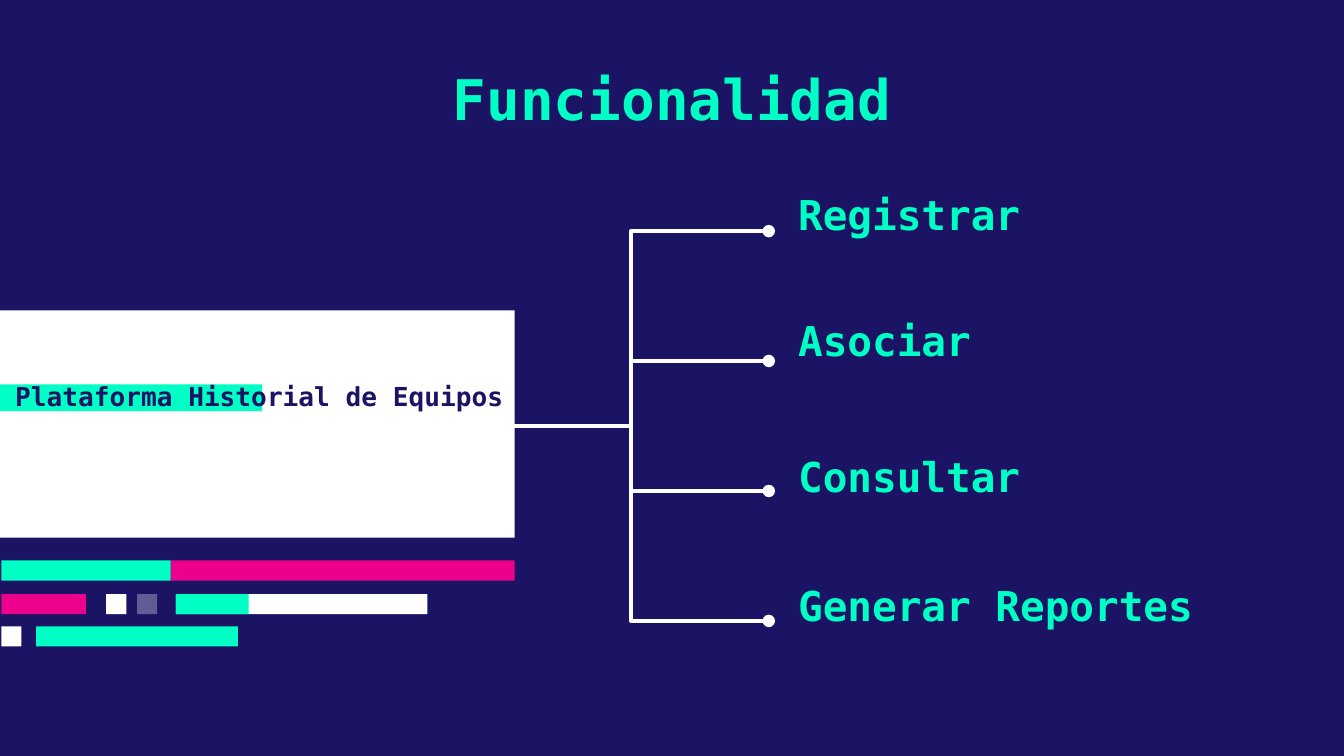
from typing import NamedTuple

from lxml import etree
from pptx import Presentation
from pptx import util as u
from pptx.dml.color import RGBColor
from pptx.enum import shapes, text
from pptx.oxml import ns
from pptx.slide import Slide

NAVY, MINT, PINK, WHITE = "1B1464", "00FFC5", "EC008C", "FFFFFF"
FONT = "DejaVu Sans Mono"
SLIDE_WIDTH = 10
SLIDE_HEIGHT = SLIDE_WIDTH * 9 / 16
BAR_HEIGHT = 0.15
BAR_ROWS = (4.17, 4.42, 4.66)
TRUNK_X, TRUNK_Y, BRANCH_X = 3.67, 3.17, 5.72
FIRST_BRANCH_Y, LAST_BRANCH_Y = 1.72, 4.62


class Bar(NamedTuple):
    row: int
    left: float
    width: float
    color: str
    opacity: int = 100


class Feature(NamedTuple):
    label: str
    top: float
    width: float = 2.95
    height: float = 0.3


BARS = (
    Bar(0, 1.27, 2.56, PINK),
    Bar(0, 0.01, 1.26, MINT),
    Bar(1, 1.31, 1.87, WHITE),
    Bar(1, 1.31, 0.54, MINT),
    Bar(1, 0.01, 0.63, PINK),
    Bar(1, 1.02, 0.15, WHITE, 31),
    Bar(1, 0.79, 0.15, WHITE),
    Bar(2, 0.01, 0.15, WHITE),
    Bar(2, 0.27, 1.5, MINT),
)
FEATURES = (
    Feature("Registrar", 1.44),
    Feature("Asociar", 2.38),
    Feature("Consultar", 3.39),
    Feature("Generar Reportes", 4.32, 3.69, 0.36),
)


def set_color(fill, color: str, opacity: int = 100) -> None:
    fill.solid()
    fill.fore_color.rgb = RGBColor.from_string(color)
    if opacity < 100:
        color_element = fill._xPr.find(f".//{ns.qn('a:srgbClr')}")
        etree.SubElement(color_element, ns.qn("a:alpha"), val=str(opacity * 1000))


def add_block(slide: Slide, left: float, top: float, width: float, height: float,
              color: str, opacity: int = 100) -> None:
    shape = slide.shapes.add_shape(
        shapes.MSO_SHAPE.RECTANGLE,
        u.Inches(left), u.Inches(top), u.Inches(width), u.Inches(height))
    shape.shadow.inherit = False
    shape.line.fill.background()
    set_color(shape.fill, color, opacity)


def add_text(slide: Slide, content: str, left: float, top: float, width: float, height: float, *,
             size: float, color: str = MINT, align=text.PP_ALIGN.LEFT,
             anchor=text.MSO_ANCHOR.MIDDLE, inset_y: float = 0) -> None:
    box = slide.shapes.add_textbox(
        u.Inches(left), u.Inches(top), u.Inches(width), u.Inches(height))
    frame = box.text_frame
    frame.word_wrap = True
    frame.vertical_anchor = anchor
    frame.margin_left = frame.margin_right = u.Inches(0.1)
    frame.margin_top = frame.margin_bottom = u.Inches(inset_y)
    paragraph = frame.paragraphs[0]
    paragraph.alignment = align
    run = paragraph.add_run()
    run.text = content
    run.font.name = FONT
    run.font.size = u.Pt(size)
    run.font.bold = True
    set_color(run.font.fill, color)


def add_branch(slide: Slide, end_y: float) -> None:
    """Draw an elbow line from the trunk to a dot beside a feature."""
    connector = slide.shapes.add_connector(
        shapes.MSO_CONNECTOR.ELBOW,
        u.Inches(TRUNK_X), u.Inches(TRUNK_Y), u.Inches(BRANCH_X), u.Inches(end_y))
    connector.line.width = u.Pt(2.25)
    set_color(connector.line.fill, WHITE)
    etree.SubElement(connector.line._get_or_add_ln(), ns.qn("a:tailEnd"), type="oval")
    etree.SubElement(connector._element.spPr, ns.qn("a:effectLst"))


def main() -> None:
    presentation = Presentation()
    presentation.slide_width = u.Inches(SLIDE_WIDTH)
    presentation.slide_height = u.Inches(SLIDE_HEIGHT)
    slide = presentation.slides.add_slide(presentation.slide_layouts[6])
    set_color(slide.background.fill, NAVY)

    add_block(slide, 0, 2.31, 3.83, 1.69, WHITE)
    add_text(slide, "Funcionalidad", 1.4, 0.38, 7.2, 0.73, size=30,
             align=text.PP_ALIGN.CENTER, anchor=text.MSO_ANCHOR.TOP, inset_y=0.1)
    for feature in FEATURES:
        add_text(slide, feature.label, 5.84, feature.top, feature.width, feature.height, size=22)

    add_block(slide, 0, 2.86, 1.95, 0.2, MINT)
    add_text(slide, "Plataforma Historial de Equipos", -0.18, 2.61, 4.03, 0.68,
             size=14, color=NAVY, align=text.PP_ALIGN.RIGHT)
    for bar in BARS:
        add_block(slide, bar.left, BAR_ROWS[bar.row], bar.width, BAR_HEIGHT,
                  bar.color, bar.opacity)

    branch_gap = (LAST_BRANCH_Y - FIRST_BRANCH_Y) / (len(FEATURES) - 1)
    for index in range(len(FEATURES)):
        add_branch(slide, FIRST_BRANCH_Y + index * branch_gap)

    presentation.save("out.pptx")


if __name__ == "__main__":
    main()
